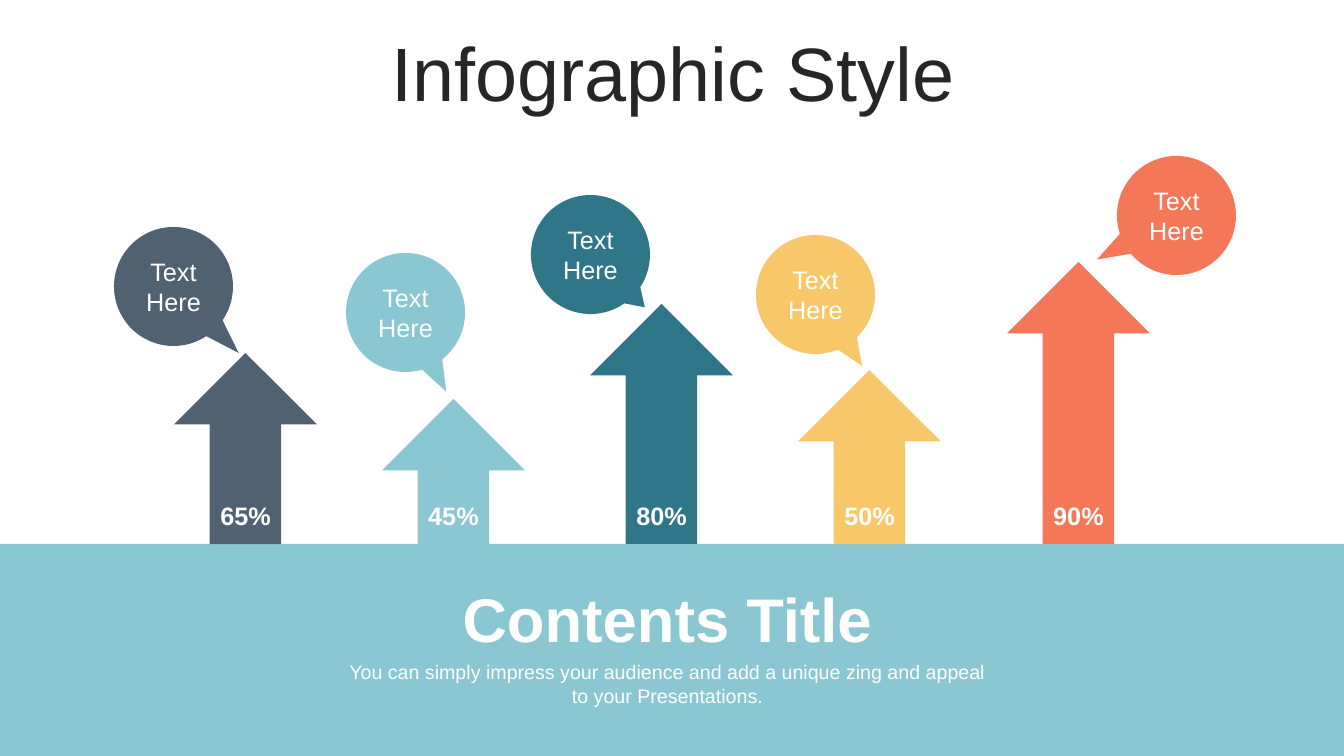
from pptx import Presentation
from pptx import util as u
from pptx.dml.color import RGBColor
from pptx.enum import shapes, text

COLORS = {"slate": "506272", "sky": "8AC7D3", "teal": "307689",
          "amber": "F7C76A", "coral": "F47758", "ink": "262626", "white": "FFFFFF"}
SCALE = 914400 / 100.8
WIDTH, HEIGHT, GROUND = 1344, 756, 544
ARROW_LEFT, ARROW_WIDTH, ARROW_SPAN = 174, 143, 833
BUBBLE_SIZE, LABEL_WIDTH = 119, 77
BARS = [
    ("slate", "65%", 353, (114, 227), (0.548, 0.559)),
    ("sky", "45%", 399, (346, 253), (0.342, 0.666)),
    ("teal", "80%", 304, (531, 195), (0.457, 0.444)),
    ("amber", "50%", 370, (756, 235), (0.391, 0.6)),
    ("coral", "90%", 262, (1117, 156), (-0.669, 0.37)),
]


def px(length):
    return u.Emu(round(length * SCALE))


class Canvas:
    """Draws styled elements on one slide, with lengths in px."""

    def __init__(self, slide, font="Arial"):
        self.slide = slide
        self.font = font

    def fill_text(self, frame, words, size, color="white", bold=False):
        frame.word_wrap = True
        frame.text = words
        paragraph = frame.paragraphs[0]
        paragraph.alignment = text.PP_ALIGN.CENTER
        paragraph.font.name = self.font
        paragraph.font.size = u.Pt(size)
        paragraph.font.bold = bold
        paragraph.font.color.rgb = RGBColor.from_string(COLORS[color])
        return paragraph

    def shape(self, kind, left, top, width, height, color):
        shape = self.slide.shapes.add_shape(kind, px(left), px(top), px(width), px(height))
        shape.shadow.inherit = False
        shape.fill.solid()
        shape.fill.fore_color.rgb = RGBColor.from_string(COLORS[color])
        shape.line.fill.background()
        return shape

    def bubble(self, left, top, tail, color, words):
        shape = self.shape(shapes.MSO_SHAPE.OVAL_CALLOUT, left, top,
                           BUBBLE_SIZE, BUBBLE_SIZE, color)
        shape.adjustments[0], shape.adjustments[1] = tail
        shape.text_frame.vertical_anchor = text.MSO_ANCHOR.MIDDLE
        self.fill_text(shape.text_frame, words, 18)

    def label(self, left, top, width, height, words, size, insets=None, **style):
        box = self.slide.shapes.add_textbox(px(left), px(top), px(width), px(height))
        frame = box.text_frame
        if insets:
            frame.margin_left, frame.margin_right = map(px, insets)
        return frame, self.fill_text(frame, words, size, **style)


def main():
    presentation = Presentation()
    presentation.slide_width, presentation.slide_height = px(WIDTH), px(HEIGHT)
    canvas = Canvas(presentation.slides.add_slide(presentation.slide_layouts[6]))

    frame, paragraph = canvas.label(35, 37, 1276, 80, "Infographic Style", 54, color="ink")
    frame.vertical_anchor = text.MSO_ANCHOR.MIDDLE
    paragraph.line_spacing = 0.9

    canvas.shape(shapes.MSO_SHAPE.RECTANGLE, 0, GROUND, WIDTH, HEIGHT - GROUND, "sky")
    canvas.label(455, 576, 433, 85, "Contents Title", 44, insets=(0, 8), bold=True)
    canvas.label(340, 655, 663, 57, "You can simply impress your audience and add a unique "
                 "zing and appeal to your Presentations.", 14, insets=(0, 8))

    for index, (color, percent, top, corner, tail) in enumerate(BARS):
        left = ARROW_LEFT + ARROW_SPAN * index // (len(BARS) - 1)
        canvas.shape(shapes.MSO_SHAPE.UP_ARROW, left, top, ARROW_WIDTH, GROUND - top, color)
        canvas.bubble(*corner, tail, color, "Text Here")
        canvas.label(left + (ARROW_WIDTH - LABEL_WIDTH) // 2, 495, LABEL_WIDTH, 40,
                     percent, 18, bold=True)

    presentation.save("out.pptx")


if __name__ == "__main__":
    main()
